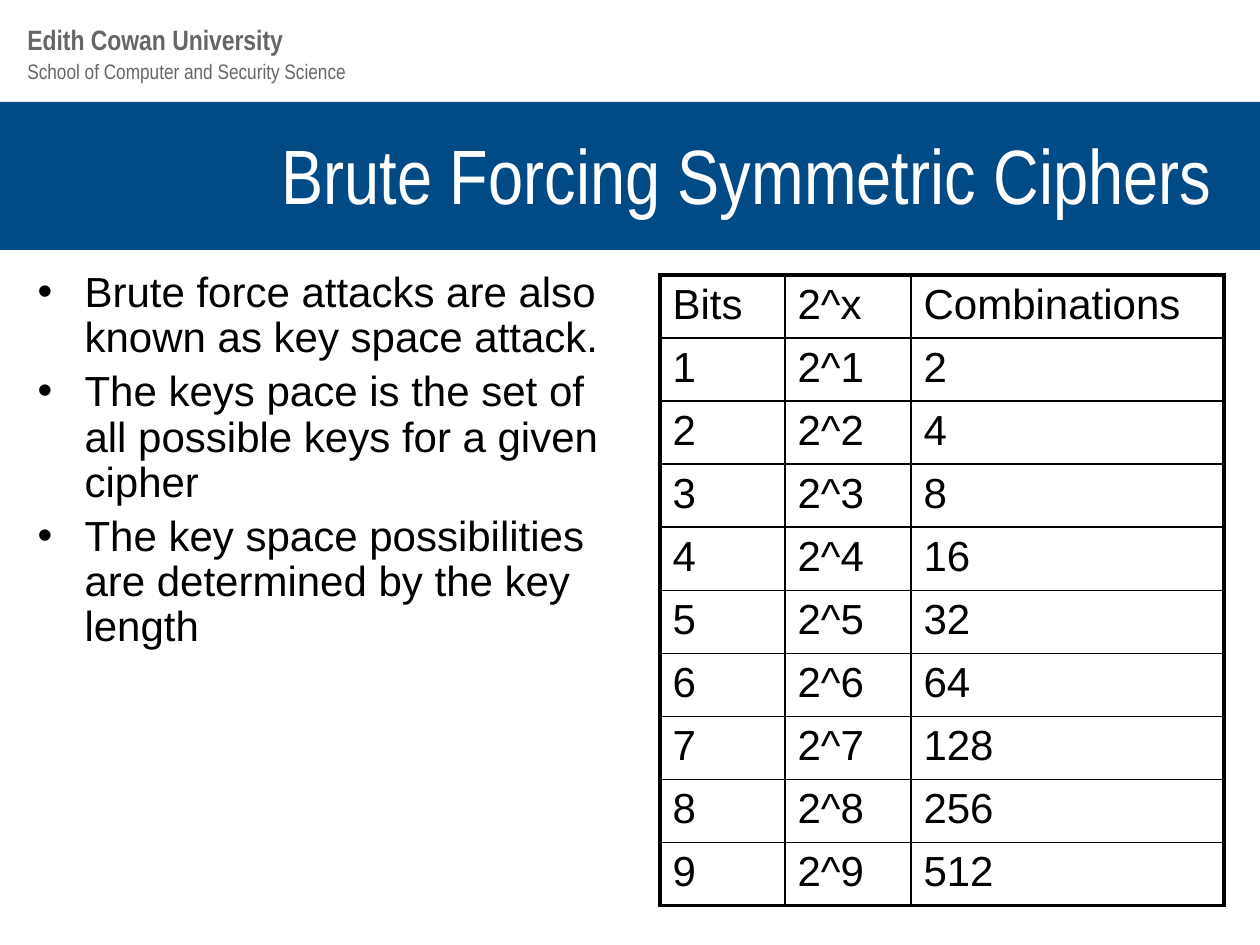
from dataclasses import dataclass

from lxml import etree
from pptx import Presentation
from pptx.dml.color import RGBColor
from pptx.enum.shapes import MSO_SHAPE
from pptx.enum.text import MSO_ANCHOR, MSO_AUTO_SIZE, PP_ALIGN
from pptx.oxml.ns import qn
from pptx.util import Emu, Pt

RECT = MSO_SHAPE.RECTANGLE
LEFT, RIGHT = PP_ALIGN.LEFT, PP_ALIGN.RIGHT
TOP, MIDDLE = MSO_ANCHOR.TOP, MSO_ANCHOR.MIDDLE
NO_FIT = MSO_AUTO_SIZE.NONE
SCALE = 914400 / 126


@dataclass(frozen=True)
class Font:
    name: str
    size: int
    color: str
    bold: bool = False


@dataclass(frozen=True)
class Theme:
    band: str = "004B85"
    paper: str = "FFFFFF"
    rule: str = "000000"
    thick: float = 2.25
    thin: float = 1
    school: Font = Font("Arial Narrow", 12, "666666")
    owner: Font = Font("Arial Narrow", 16, "666666", True)
    title: Font = Font("Arial Narrow", 44, "FFFFFF")
    body: Font = Font("Arial", 24, "000000")


@dataclass(frozen=True)
class Box:
    x: int
    y: int
    w: int
    h: int

    def emu(self) -> tuple:
        return tuple(px(n) for n in (self.x, self.y, self.w, self.h))


@dataclass(frozen=True)
class Label:
    text: str
    box: Box
    font: Font


THEME = Theme()
BAND = Box(0, 102, 1260, 148)
TITLE = Box(34, 105, 1191, 137)
BODY = Box(25, 265, 615, 645)
GRID = Box(660, 275, 564, 630)
COLS = (125, 126, 313)
ROW = 55
INDENT = 47
LABELS = (
    Label("School of Computer and Security Science", Box(15, 52, 742, 38), THEME.school),
    Label("Edith Cowan University", Box(15, 16, 742, 47), THEME.owner),
)
POINTS = (
    "Brute force attacks are also known as key space attack.",
    "The keys pace is the set of all possible keys for a given cipher",
    "The key space possibilities are determined by the key length",
)
ROWS = [("Bits", "2^x", "Combinations")]
ROWS += [(str(n), f"2^{n}", str(2**n)) for n in range(1, 10)]


def px(n: int) -> Emu:
    return Emu(round(n * SCALE))


def place(shape, box: Box) -> None:
    shape.left, shape.top, shape.width, shape.height = box.emu()


def write(para, text: str, font: Font, **form) -> None:
    """Fill a paragraph with one run and apply paragraph formats."""
    for key, value in form.items():
        setattr(para, key, value)
    run = para.add_run()
    run.text = text
    look = {"name": font.name, "size": Pt(font.size), "bold": font.bold}
    for key, value in look.items():
        setattr(run.font, key, value)
    run.font.color.rgb = RGBColor.from_string(font.color)


def paint(fill, color: str) -> None:
    fill.solid()
    fill.fore_color.rgb = RGBColor.from_string(color)


def add_band(slide) -> None:
    """Put the colour band behind the title."""
    band = slide.shapes.add_shape(RECT, *BAND.emu())
    band.shadow.inherit = False
    paint(band.fill, THEME.band)
    band.line.fill.background()
    slide.shapes.title.element.addprevious(band.element)


def add_label(slide, label: Label) -> None:
    frame = slide.shapes.add_textbox(*label.box.emu()).text_frame
    frame.word_wrap = True
    write(frame.paragraphs[0], label.text, label.font)


def set_title(slide, text: str) -> None:
    title = slide.shapes.title
    place(title, TITLE)
    frame = title.text_frame
    frame.auto_size, frame.vertical_anchor = NO_FIT, MIDDLE
    write(frame.paragraphs[0], text, THEME.title, alignment=RIGHT)


def set_list(slide) -> None:
    body = slide.placeholders[1]
    place(body, BODY)
    frame = body.text_frame
    frame.auto_size, frame.vertical_anchor = NO_FIT, TOP
    for i, text in enumerate(POINTS):
        para = frame.add_paragraph() if i else frame.paragraphs[0]
        props = para._p.get_or_add_pPr()
        props.set("marL", str(px(INDENT)))
        props.set("indent", str(-px(INDENT)))
        gap = Pt(4.8 if i else 0)
        write(para, text, THEME.body, alignment=LEFT, line_spacing=0.9, space_before=gap)


def add_edge(cell, side: str, width: float) -> None:
    props = cell._tc.get_or_add_tcPr()
    line = etree.SubElement(props, qn(f"a:ln{side}"), w=str(Pt(width)))
    fill = etree.SubElement(line, qn("a:solidFill"))
    etree.SubElement(fill, qn("a:srgbClr"), val=THEME.rule)


def add_grid(slide) -> None:
    frame = slide.shapes.add_table(len(ROWS), len(COLS), *GRID.emu())
    table = frame.table
    table.first_row = table.horz_banding = False
    for col, width in zip(table.columns, COLS):
        col.width = px(width)
    for r, texts in enumerate(ROWS):
        table.rows[r].height = px(ROW)
        for c, text in enumerate(texts):
            cell = table.cell(r, c)
            outer = {
                "L": c == 0,
                "R": c == len(COLS) - 1,
                "T": r == 0,
                "B": r == len(ROWS) - 1,
            }
            for side, edge in outer.items():
                add_edge(cell, side, THEME.thick if edge else THEME.thin)
            paint(cell.fill, THEME.paper)
            write(cell.text_frame.paragraphs[0], text, THEME.body)
    frame.height = px(GRID.h)


def main() -> None:
    deck = Presentation()
    deck.slide_width, deck.slide_height = px(1260), px(945)
    slide = deck.slides.add_slide(deck.slide_layouts[1])
    paint(slide.background.fill, THEME.paper)
    add_band(slide)
    for label in LABELS:
        add_label(slide, label)
    set_title(slide, "Brute Forcing Symmetric Ciphers")
    set_list(slide)
    add_grid(slide)
    deck.save("out.pptx")


if __name__ == "__main__":
    main()
